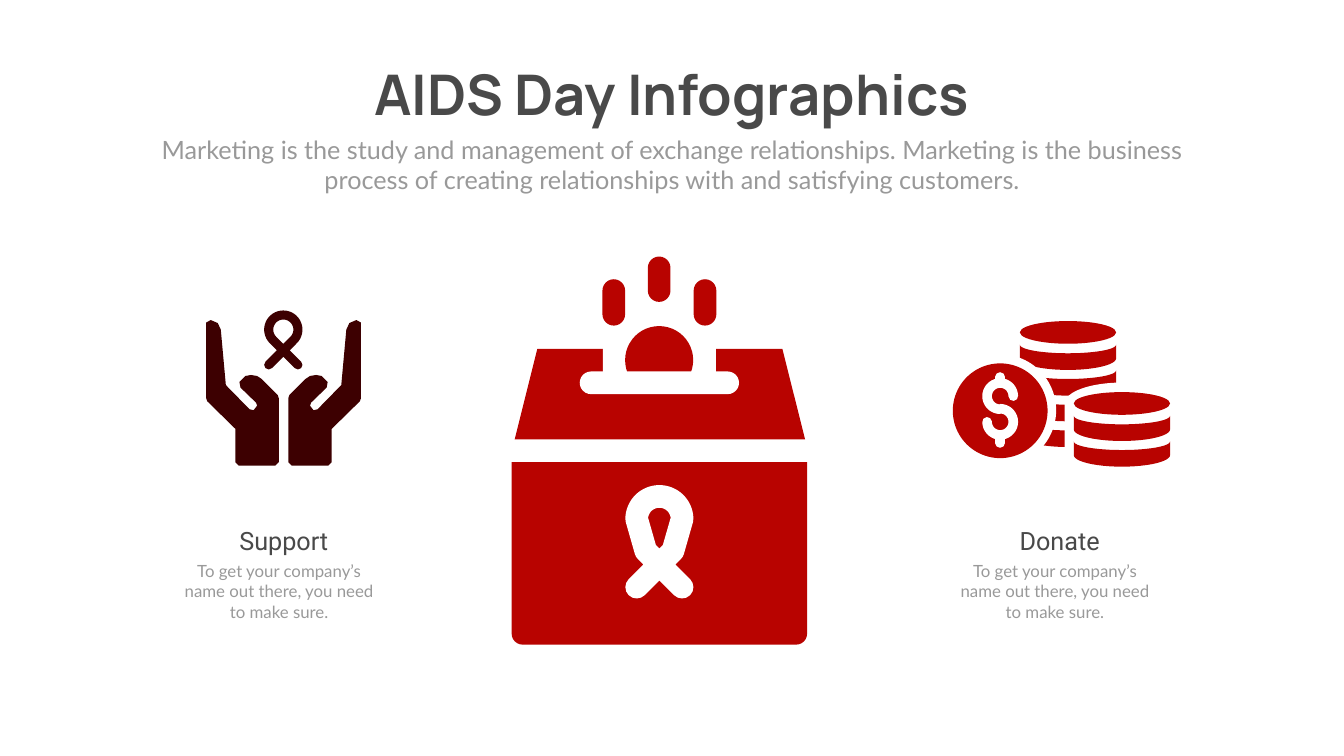
import math
import lxml.etree
import pptx
import pptx.util
import pptx.dml.color
import pptx.enum.shapes
import pptx.enum.text
import pptx.oxml.ns

COLORS = {"heading": "494949", "muted": "999999", "red": "B80300", "maroon": "3D0001", "white": "FFFFFF"}
INCH = 2.54
Cm = pptx.util.Cm
RGB = pptx.dml.color.RGBColor.from_string
MSO_SHAPE = pptx.enum.shapes.MSO_SHAPE
OVAL, RECT, PILL = MSO_SHAPE.OVAL, MSO_SHAPE.RECTANGLE, MSO_SHAPE.ROUNDED_RECTANGLE

prs = pptx.Presentation()
prs.slide_width, prs.slide_height = Cm(26.66 * INCH), Cm(15 * INCH)
slide = prs.slides.add_slide(prs.slide_layouts[5])


def write(shape, place, text, size, font, color):
    shape.left, shape.top, shape.width, shape.height = [Cm(v * INCH) for v in place]
    frame = shape.text_frame
    frame.text = text
    frame.word_wrap = True
    frame.auto_size = pptx.enum.text.MSO_AUTO_SIZE.NONE
    paragraph = frame.paragraphs[0]
    paragraph.alignment = pptx.enum.text.PP_ALIGN.CENTER
    style = paragraph.runs[0].font
    style.size, style.name = pptx.util.Pt(size), font
    style.color.rgb = RGB(COLORS[color])


def draw(points, color, stroke=0):
    start, *rest = [(Cm(x * INCH), Cm(y * INCH)) for x, y in points]
    builder = slide.shapes.build_freeform(*start)
    builder.add_line_segments(rest, close=not stroke)
    shape = builder.convert_to_shape()
    shape.shadow.inherit = False
    if stroke:
        shape.fill.background()
        shape.line.color.rgb = RGB(COLORS[color])
        shape.line.width = Cm(stroke * INCH)
        outline = shape.element.spPr.find(pptx.oxml.ns.qn("a:ln"))
        outline.set("cap", "rnd")
        lxml.etree.SubElement(outline, pptx.oxml.ns.qn("a:round"))
    else:
        shape.fill.solid()
        shape.fill.fore_color.rgb = RGB(COLORS[color])
        shape.line.fill.background()


title = slide.shapes.title
write(title, (6.83, 1.12, 12.99, 1.45), "AIDS Day Infographics", 80, "Manrope", "heading")
title.text_frame.paragraphs[0].runs[0].font.bold = True
title.text_frame.word_wrap = False
title.text_frame.vertical_anchor = pptx.enum.text.MSO_ANCHOR.MIDDLE
write(slide.shapes.add_textbox(0, 0, 0, 0), (2.92, 2.61, 20.82, 1.31),
      "Marketing is the study and management of exchange relationships. Marketing is the "
      "business process of creating relationships with and satisfying customers.",
      36, "Lato", "muted")

rear_left, front_left, coin_width, coin_step = 20.23, 21.3, 1.91, 0.51
for left, top, count in ((rear_left, 6.84, 4), (front_left, 8.25, 2)):
    for level in range(count):
        edge = top + level * coin_step
        arc = [(left + coin_width * (1 - math.cos(math.pi * k / 24)) / 2, math.sin(math.pi * k / 24))
               for k in range(25)]
        draw([(x, edge + 0.17 * sag) for x, sag in arc]
             + [(x, edge + 0.27 + 0.23 * sag) for x, sag in reversed(arc)], "red")
    if left == rear_left:
        halo = [(OVAL, (18.73, 7.03, 2.22, 2.22)), (OVAL, (21.12, 7.59, 2.28, 0.82)),
                (RECT, (21.12, 8, 2.28, 1.3))]
        for kind, place in halo:
            gap = slide.shapes.add_shape(kind, *[Cm(v * INCH) for v in place])
            gap.shadow.inherit = False
            gap.fill.solid()
            gap.fill.fore_color.rgb = RGB(COLORS["white"])
            gap.line.fill.background()

pieces = [
    (OVAL, (rear_left, 6.37, coin_width, 0.45), "red", ()),
    (OVAL, (front_left, 7.78, coin_width, 0.45), "red", ()),
    (OVAL, (18.9, 7.21, 1.88, 1.88), "red", ()),
    (MSO_SHAPE.TRAPEZOID, (10.21, 6.92, 5.76, 1.8), "red", (0.25,)),
    (RECT, (11.96, 6.9, 2.24, 0.6), "white", ()),
    (OVAL, (12.4, 6.47, 1.35, 1.35), "red", ()),
    (PILL, (11.5, 7.37, 3.16, 0.45), "white", (0.5,)),
    (MSO_SHAPE.ROUND_2_SAME_RECTANGLE, (10.15, 9.17, 5.86, 3.62), "red", (0, 0.06)),
    (PILL, (11.95, 5.54, 0.45, 0.92), "red", (0.5,)),
    (PILL, (12.85, 5.09, 0.45, 0.9), "red", (0.5,)),
    (PILL, (13.76, 5.54, 0.45, 0.92), "red", (0.5,)),
]
for kind, place, color, adjustments in pieces:
    piece = slide.shapes.add_shape(kind, *[Cm(v * INCH) for v in place])
    for i, amount in enumerate(adjustments):
        piece.adjustments[i] = amount
    piece.shadow.inherit = False
    piece.fill.solid()
    piece.fill.fore_color.rgb = RGB(COLORS[color])
    piece.line.fill.background()

for center, middle, radius, foot, knee, first, stroke, color in (
        (13.08, 10.3, 0.45, 11.65, (0.27, 10.93), 0, 0.45, "white"),
        (5.62, 6.54, 0.29, 7.24, (0.2, 6.75), -45, 0.18, "maroon")):
    angles = [math.radians(first + (180 - 2 * first) * k / 32) for k in range(33)]
    loop = [(center + radius * math.cos(a), middle - radius * math.sin(a)) for a in angles]
    draw([(center - radius, foot), (center + knee[0], knee[1]), *loop,
          (center - knee[0], knee[1]), (center + radius, foot)], color, stroke)

dollar_x, dollar_radius = 19.84, 0.26
dollar = [(dollar_x + dollar_radius * math.cos(math.radians(a)), y - dollar_radius * math.sin(math.radians(a)))
          for y, sweep in ((7.86, range(0, 271, 10)), (8.37, range(90, -181, -10))) for a in sweep]
draw(dollar, "white", 0.19)
for top, bottom in ((7.48, 7.6), (8.63, 8.79)):
    draw([(dollar_x, top), (dollar_x, bottom)], "white", 0.19)

left_hand = [
    (4.09, 6.4), (4.18, 6.35), (4.32, 6.41), (4.38, 6.54), (4.48, 7.64), (4.95, 8.12), (5.03, 8.14),
    (5.1, 8.05), (5.08, 7.99), (4.77, 7.69), (4.75, 7.58), (4.87, 7.46), (4.98, 7.44), (5.1, 7.46),
    (5.19, 7.52), (5.51, 7.84), (5.53, 7.9), (5.53, 9.17), (5.46, 9.24), (4.74, 9.24), (4.67, 9.17),
    (4.67, 8.51), (4.11, 7.96), (4.09, 7.9)]
draw(left_hand, "maroon")
draw([(11.25 - x, y) for x, y in left_hand], "maroon")

for heading, left in (("Support", 3.46), ("Donate", 18.85)):
    write(slide.shapes.add_textbox(0, 0, 0, 0), (left, 11.08, 4.15, 1.31),
          "To get your company’s name out there, you need to make sure.", 24, "Lato", "muted")
    write(slide.shapes.add_textbox(0, 0, 0, 0), (left + 0.54, 10.37, 3.26, 0.71),
          heading, 36, "Roboto", "heading")

prs.save("out.pptx")
